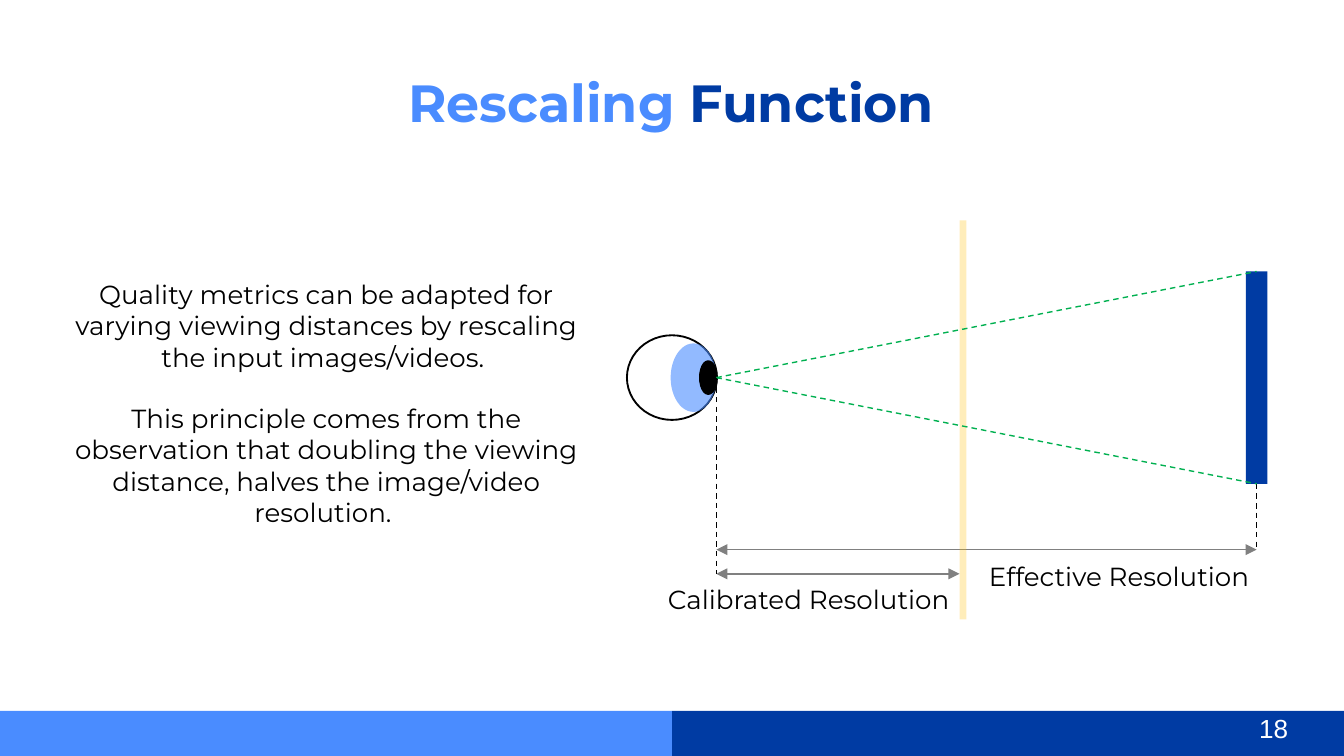
import pptx
import pptx.dml.color
import pptx.enum.dml
import pptx.enum.shapes
import pptx.enum.text
import pptx.oxml
import pptx.oxml.ns
import pptx.util
from pptx.util import Inches

COLORS = {
    "light blue": "4A8CFF", "dark blue": "003BA3", "black": "000000",
    "white": "FFFFFF", "gray": "808080", "green": "00B050", "yellow": "FFC000",
}
KINDS = pptx.enum.shapes.MSO_SHAPE
CENTER = pptx.enum.text.PP_ALIGN.CENTER

TITLE = [("Rescaling", "light blue"), (" Function", "dark blue")]
BODY = [
    "Quality metrics can be adapted for varying viewing distances by rescaling the input images/videos. ",
    "This principle comes from the observation that doubling the viewing distance, "
    "halves the image/video resolution. ",
]
# text, left, top, width, height
LABELS = [
    ("Effective Resolution", 7.26, 4.12, 2.17, 0.34),
    ("Calibrated Resolution", 4.87, 4.29, 2.39, 0.34),
]

FOCUS_X, AXIS_Y = 5.33, 2.81       # where the sight lines leave the eye
SCREEN_X, BAND_X = 9.35, 7.14
EFFECTIVE_Y, CALIBRATED_Y = 4.09, 4.27
# centre x, width, height, fill, opacity in percent, line width in points
EYE_PARTS = [
    (5.0, 0.67, 0.63, "white", 40, 1),
    (5.16, 0.34, 0.51, "light blue", 60, 0),
    (5.27, 0.11, 0.23, "black", 100, 2),
]

presentation = pptx.Presentation()
presentation.slide_width = Inches(10)
presentation.slide_height = Inches(10) * 9 // 16
slide = presentation.slides.add_slide(presentation.slide_layouts[6])


def rgb(name):
    return pptx.dml.color.RGBColor.from_string(COLORS[name])


def drawing_element(tag, **attributes):
    element = pptx.oxml.parse_xml(f"<a:{tag} {pptx.oxml.ns.nsdecls('a')}/>")
    for key, value in attributes.items():
        element.set(key, str(value))
    return element


def add_filled(kind, left, top, width, height, color, opacity=100, line_width=0):
    shape = slide.shapes.add_shape(kind, *map(Inches, (left, top, width, height)))
    shape.shadow.inherit = False
    shape.fill.solid()
    shape.fill.fore_color.rgb = rgb(color)
    if opacity < 100:
        fill_color = shape.fill._xPr.find(".//" + pptx.oxml.ns.qn("a:srgbClr"))
        fill_color.append(drawing_element("alpha", val=opacity * 1000))
    if line_width:
        shape.line.color.rgb = rgb("black")
        shape.line.width = pptx.util.Pt(line_width)
    else:
        shape.line.fill.background()
    return shape


def add_line(start, end, color, dashed=True):
    """Draw a dashed line, or a solid one with an arrowhead at each end."""
    connector = slide.shapes.add_connector(
        pptx.enum.shapes.MSO_CONNECTOR.STRAIGHT, *map(Inches, (*start, *end)))
    connector.line.color.rgb = rgb(color)
    connector.line.width = pptx.util.Pt(0.75)
    if dashed:
        connector.line.dash_style = pptx.enum.dml.MSO_LINE.DASH
    else:
        for tag in ("headEnd", "tailEnd"):
            connector.line._get_or_add_ln().append(drawing_element(tag, type="triangle"))
    connector._element.spPr.append(drawing_element("effectLst"))
    return connector


def add_text(paragraphs, left, top, width, height, size=14, font="Montserrat",
             bold=False, align=None, space_after=0, inset=0.1, middle=False):
    """Each paragraph is a list of (text, color) runs."""
    box = slide.shapes.add_textbox(*map(Inches, (left, top, width, height)))
    frame = box.text_frame
    frame.word_wrap = True
    frame.margin_left = frame.margin_right = Inches(0.1)
    frame.margin_top = frame.margin_bottom = Inches(inset)
    anchors = pptx.enum.text.MSO_ANCHOR
    frame.vertical_anchor = anchors.MIDDLE if middle else anchors.TOP
    for index, runs in enumerate(paragraphs):
        paragraph = frame.add_paragraph() if index else frame.paragraphs[0]
        paragraph.alignment = align
        paragraph.space_after = pptx.util.Pt(space_after)
        for text, color in runs:
            run = paragraph.add_run()
            run.text = text
            run.font.name = font
            run.font.size = pptx.util.Pt(size)
            run.font.bold = bold
            run.font.color.rgb = rgb(color)


# Footer, title and body
for left, color in ((5, "dark blue"), (0, "light blue")):
    add_filled(KINDS.RECTANGLE, left, 5.29, 5, 0.34, color)
add_text([TITLE], 0.78, 0.42, 8.43, 0.63, size=28, bold=True, align=CENTER)
add_text([[(text, "black")] for text in BODY], 0.38, 1.97, 4.1, 1.95,
         align=CENTER, space_after=16)
add_text([[("18", "white")]], 9.27, 5.2, 0.6, 0.43, font="Arial", middle=True)

# Eye, screen and calibrated distance
for center_x, width, height, *style in EYE_PARTS:
    add_filled(KINDS.OVAL, center_x - width / 2, AXIS_Y - height / 2, width, height, *style)
screen_width, screen_height = 0.16, 1.58
screen_top, screen_bottom = AXIS_Y - screen_height / 2, AXIS_Y + screen_height / 2
screen = add_filled(KINDS.RECTANGLE, SCREEN_X - screen_width / 2, screen_top,
                    screen_width, screen_height, "dark blue")
screen_drop = add_line((SCREEN_X, screen_bottom), (SCREEN_X, EFFECTIVE_Y), "black")
screen_drop.begin_connect(screen, 2)
add_line((FOCUS_X, EFFECTIVE_Y), (SCREEN_X, EFFECTIVE_Y), "gray", dashed=False)
add_text([[(LABELS[0][0], "black")]], *LABELS[0][1:], inset=0.05)
add_filled(KINDS.RECTANGLE, BAND_X, 1.64, 0.05, 2.97, "yellow", 27)
add_line((FOCUS_X, CALIBRATED_Y), (BAND_X, CALIBRATED_Y), "gray", dashed=False)
add_text([[(LABELS[1][0], "black")]], *LABELS[1][1:], inset=0.05)

# Sight lines
for end_y, site in ((screen_bottom, 2), (screen_top, 0)):
    sight_line = add_line((FOCUS_X, AXIS_Y), (SCREEN_X, end_y), "green")
    sight_line.end_connect(screen, site)
add_line((FOCUS_X, AXIS_Y), (FOCUS_X, CALIBRATED_Y), "black")

presentation.save("out.pptx")
